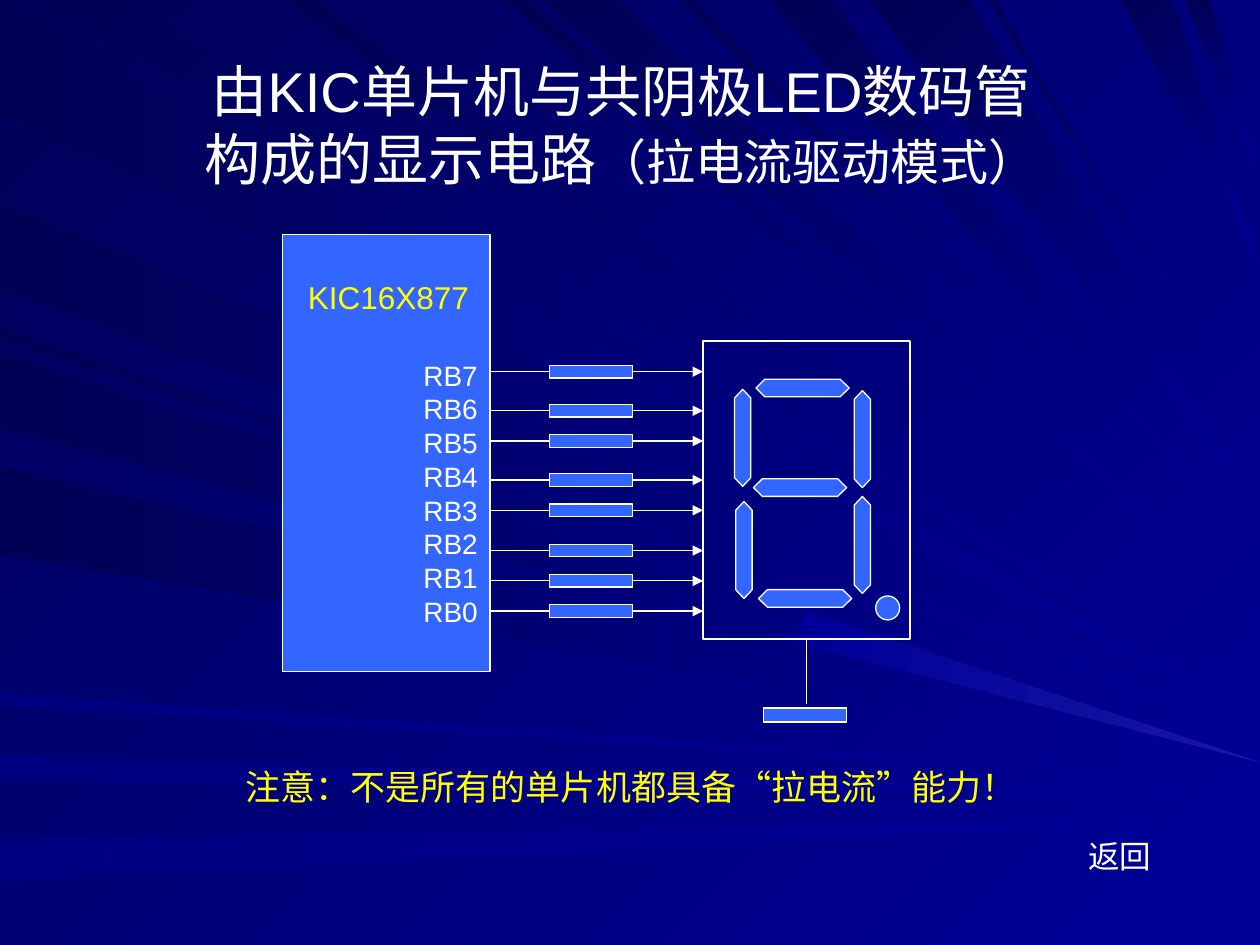
from copy import deepcopy
from dataclasses import dataclass

from lxml import etree
from pptx import Presentation
from pptx.dml.color import RGBColor
from pptx.enum.shapes import MSO_CONNECTOR, MSO_SHAPE
from pptx.enum.text import MSO_ANCHOR, MSO_AUTO_SIZE, PP_ALIGN
from pptx.oxml.ns import qn
from pptx.util import Inches, Pt

RECTANGLE = MSO_SHAPE.RECTANGLE
HEXAGON = MSO_SHAPE.HEXAGON
OVAL = MSO_SHAPE.OVAL
STRAIGHT = MSO_CONNECTOR.STRAIGHT
TOP, MIDDLE = MSO_ANCHOR.TOP, MSO_ANCHOR.MIDDLE
LEFT, CENTER, RIGHT = PP_ALIGN.LEFT, PP_ALIGN.CENTER, PP_ALIGN.RIGHT
TITLE_ONLY = 5
PAGE_WIDTH, PAGE_HEIGHT = 10, 7.5


@dataclass(frozen=True)
class Theme:
    font: str = "Arial"
    white: str = "FFFFFF"
    yellow: str = "FFFF00"
    blue: str = "3366FF"
    night: str = "000058"
    shade: str = "000055"
    dusk: str = "000080"
    navy: str = "000099"
    glow: str = "1717A2"
    title: int = 32
    subtitle: int = 28
    note: int = 20
    label: int = 18
    pin: int = 16
    thin: float = 0.75
    frame: float = 1.25


THEME = Theme()

# Each light ray spans two points of an edge and narrows to a tip on the right edge
LEFT_RAYS = [(0, 0.9, 5.7), (1.6, 2.3, 5.85), (2.6, 2.7, 5.9), (2.8, 3.4, 6), (3.7, 4.4, 6.05)]
LOW_RAYS = [(5.5, 5.6, 6.2), (6, 6.2, 6.3), (6.65, 7, 6.5)]
TOP_RAYS = [(0.3, 1, 5.6), (2.25, 2.5, 5.5), (4, 4.2, 5.2), (4.3, 4.9, 4.9), (5.4, 5.5, 4.6),
            (6.1, 6.6, 4.5), (6.9, 7.7, 4.1), (7.85, 7.9, 3.6), (8.9, 9.3, 2.1), (9.4, 9.6, 1.4)]

WIRE_HEIGHTS = [2.95, 3.26, 3.5, 3.81, 4.05, 4.37, 4.61, 4.85]
FLAT_SEGMENTS = [(6, 3.01), (5.98, 3.8), (6.02, 4.68)]
UPRIGHT_SEGMENTS = [(5.51, 3.41), (5.52, 4.3), (6.46, 4.26), (6.46, 3.42)]


def paint(fill, first, last=None, angle=0):
    """Fill with one colour, or with a gradient when a last colour is given."""
    if last is None:
        fill.solid()
        fill.fore_color.rgb = RGBColor.from_string(first)
        return
    fill.gradient()
    fill.gradient_angle = (360 - angle) % 360
    for stop, color in zip(fill.gradient_stops, (first, last)):
        stop.color.rgb = RGBColor.from_string(color)


def add_ray(page, points, first, last, angle=0):
    corners = [(Inches(x), Inches(y)) for x, y in points]
    builder = page.shapes.build_freeform(*corners[0])
    builder.add_line_segments(corners[1:], close=True)
    ray = builder.convert_to_shape()
    ray.shadow.inherit = False
    ray.line.fill.background()
    paint(ray.fill, first, last, angle)


def add_backdrop(page):
    paint(page.background.fill, THEME.night, THEME.navy, 45)
    for rays, first in ((LEFT_RAYS, THEME.shade), (LOW_RAYS, THEME.dusk)):
        for start, end, tip in rays:
            add_ray(page, [(0, start), (0, end), (PAGE_WIDTH, tip)], first, THEME.navy)
    for start, end, tip in TOP_RAYS:
        add_ray(page, [(start, 0), (end, 0), (PAGE_WIDTH, tip)], THEME.shade, THEME.navy, 45)
    add_ray(page, [(6.4, 4.85), (6.3, 5.1), (PAGE_WIDTH, 6.05)], THEME.navy, THEME.glow)


def add_part(page, kind, *place, fill=THEME.blue, width=THEME.thin, rotation=0, adjust=None):
    part = page.shapes.add_shape(kind, *map(Inches, place))
    part.shadow.inherit = False
    part.rotation = rotation
    if adjust is not None:
        part.adjustments[0] = adjust
    if fill:
        paint(part.fill, fill)
    else:
        part.fill.background()
    part.line.color.rgb = RGBColor.from_string(THEME.white)
    part.line.width = Pt(width)
    return part


def add_wire(page, *ends, arrow=False):
    wire = page.shapes.add_connector(STRAIGHT, *map(Inches, ends))
    wire.line.color.rgb = RGBColor.from_string(THEME.white)
    wire.line.width = Pt(THEME.thin)
    if arrow:
        etree.SubElement(wire.line._get_or_add_ln(), qn("a:tailEnd"), type="triangle")
    etree.SubElement(wire._element.spPr, qn("a:effectLst"))


def write(para, text, size=THEME.label, color=THEME.white, align=LEFT, before=0, spacing=None):
    """Add text to a paragraph, with a line break at each newline."""
    para.alignment = align
    para.space_before = Pt(before)
    if spacing:
        para.line_spacing = Pt(spacing)
    for number, line in enumerate(text.split("\n")):
        if number:
            para.add_line_break()
            para._p[-1].append(deepcopy(span._r.rPr))
        span = para.add_run()
        span.text = line
        span.font.name = THEME.font
        span.font.size = Pt(size)
        span.font.color.rgb = RGBColor.from_string(color)


def add_note(page, text, *place, **style):
    box = page.shapes.add_textbox(*map(Inches, place))
    box.text_frame.word_wrap = True
    write(box.text_frame.paragraphs[0], text, **style)


def add_title(page):
    title = page.shapes.title
    title.left, title.top, title.width, title.height = map(Inches, (0.43, 0.36, 9, 1.25))
    frame = title.text_frame
    frame.auto_size = MSO_AUTO_SIZE.NONE
    frame.vertical_anchor = MIDDLE
    para = frame.paragraphs[0]
    write(para, "由KIC单片机与共阴极LED数码管\n构成的显示电路", size=THEME.title, align=CENTER)
    write(para, "（拉电流驱动模式）", size=THEME.subtitle, align=CENTER)
    page.shapes._spTree.append(title._element)


def add_controller(page):
    frame = add_part(page, RECTANGLE, 2.24, 1.86, 1.65, 3.47).text_frame
    frame.vertical_anchor = TOP
    frame.margin_top = Inches(0.35)
    frame.word_wrap = True
    write(frame.paragraphs[0], "KIC16X877 ", color=THEME.yellow, align=RIGHT, spacing=21.6)
    for pin in reversed(range(len(WIRE_HEIGHTS))):
        write(frame.add_paragraph(), f"RB{pin}", size=THEME.pin, align=RIGHT,
              before=24 if pin == 7 else 0, spacing=19.25)


def add_display(page):
    add_part(page, RECTANGLE, 5.58, 2.71, 1.64, 2.36, fill=None, width=THEME.frame)
    for left, top in FLAT_SEGMENTS:
        add_part(page, HEXAGON, left, top, 0.74, 0.14, adjust=0.51)
    for left, top in UPRIGHT_SEGMENTS:
        add_part(page, HEXAGON, left, top, 0.77, 0.13, rotation=270, adjust=0.53)
    add_part(page, OVAL, 6.95, 4.73, 0.19, 0.19)
    add_wire(page, 6.4, 5.07, 6.4, 5.59)
    add_part(page, RECTANGLE, 6.06, 5.62, 0.66, 0.11)


def main():
    deck = Presentation()
    deck.slide_width, deck.slide_height = Inches(PAGE_WIDTH), Inches(PAGE_HEIGHT)
    page = deck.slides.add_slide(deck.slide_layouts[TITLE_ONLY])
    add_backdrop(page)
    add_title(page)
    add_controller(page)
    add_display(page)
    for height in WIRE_HEIGHTS:
        add_wire(page, 3.9, height, 5.58, height, arrow=True)
        add_part(page, RECTANGLE, 4.36, height - 0.05, 0.66, 0.1)
    add_note(page, "返回", 8.54, 6.59, 0.71, 0.4)
    add_note(page, "注意：不是所有的单片机都具备“拉电流”能力！", 1.85, 6.03, 6.22, 0.44,
             size=THEME.note, color=THEME.yellow)
    deck.save("out.pptx")


if __name__ == "__main__":
    main()
